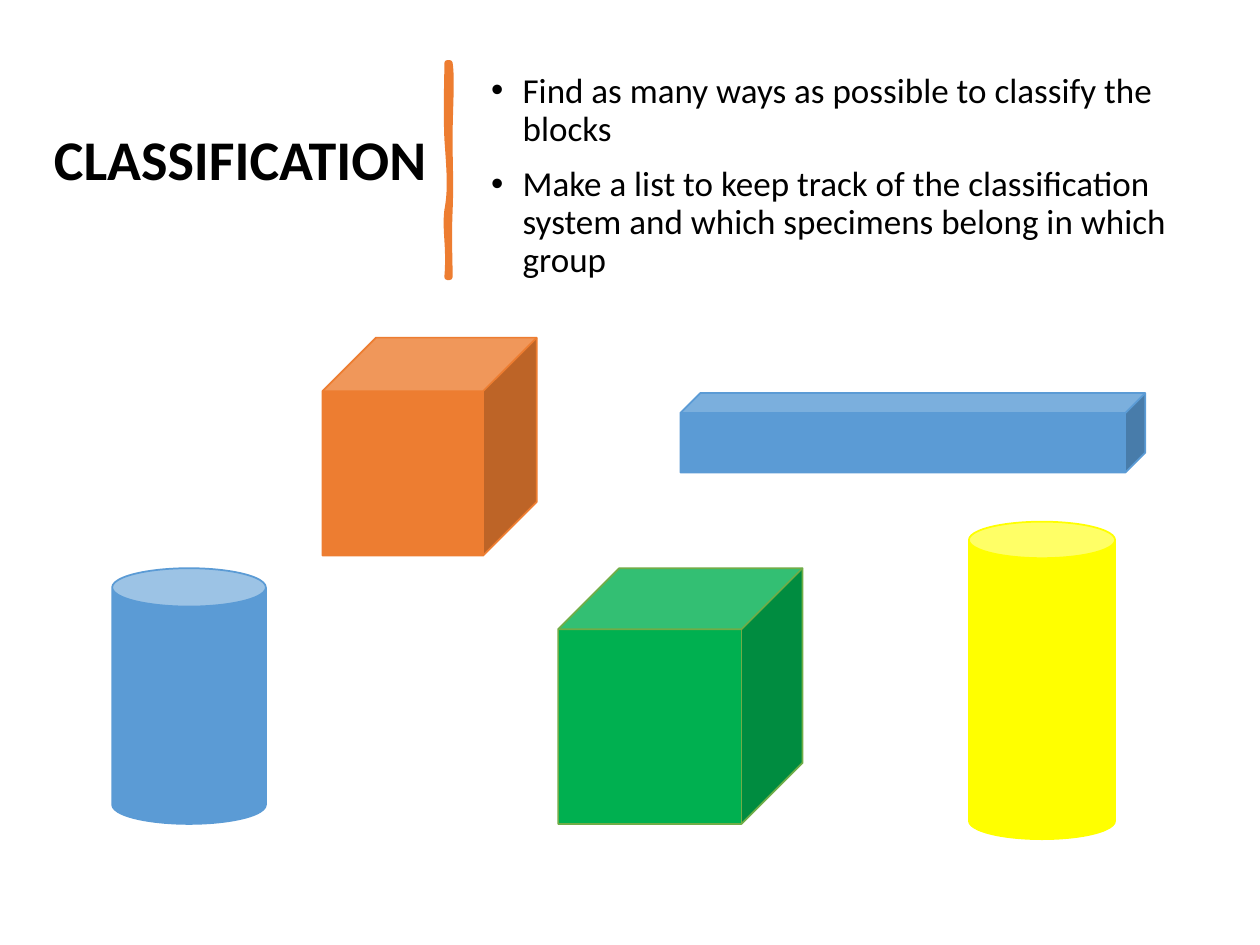
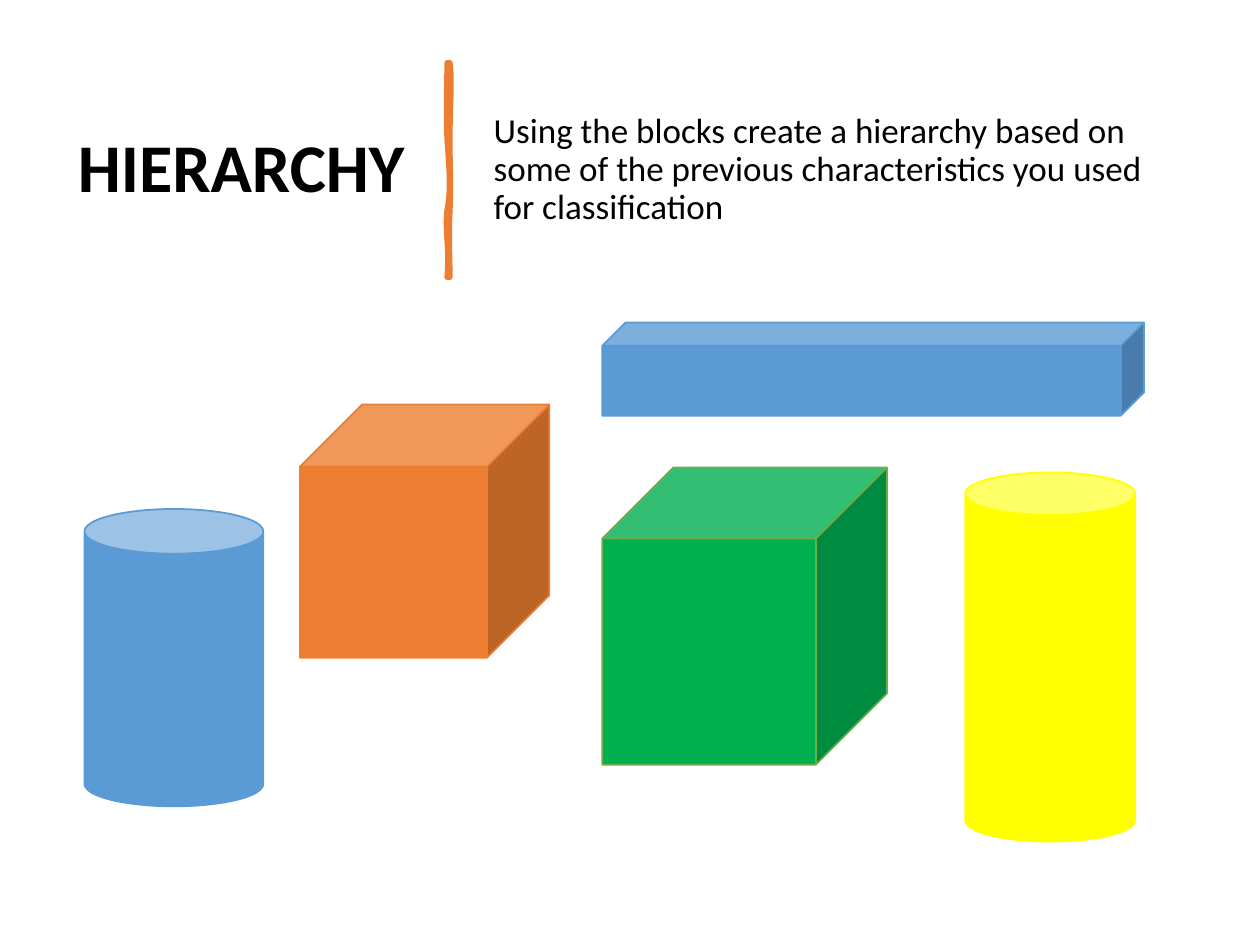
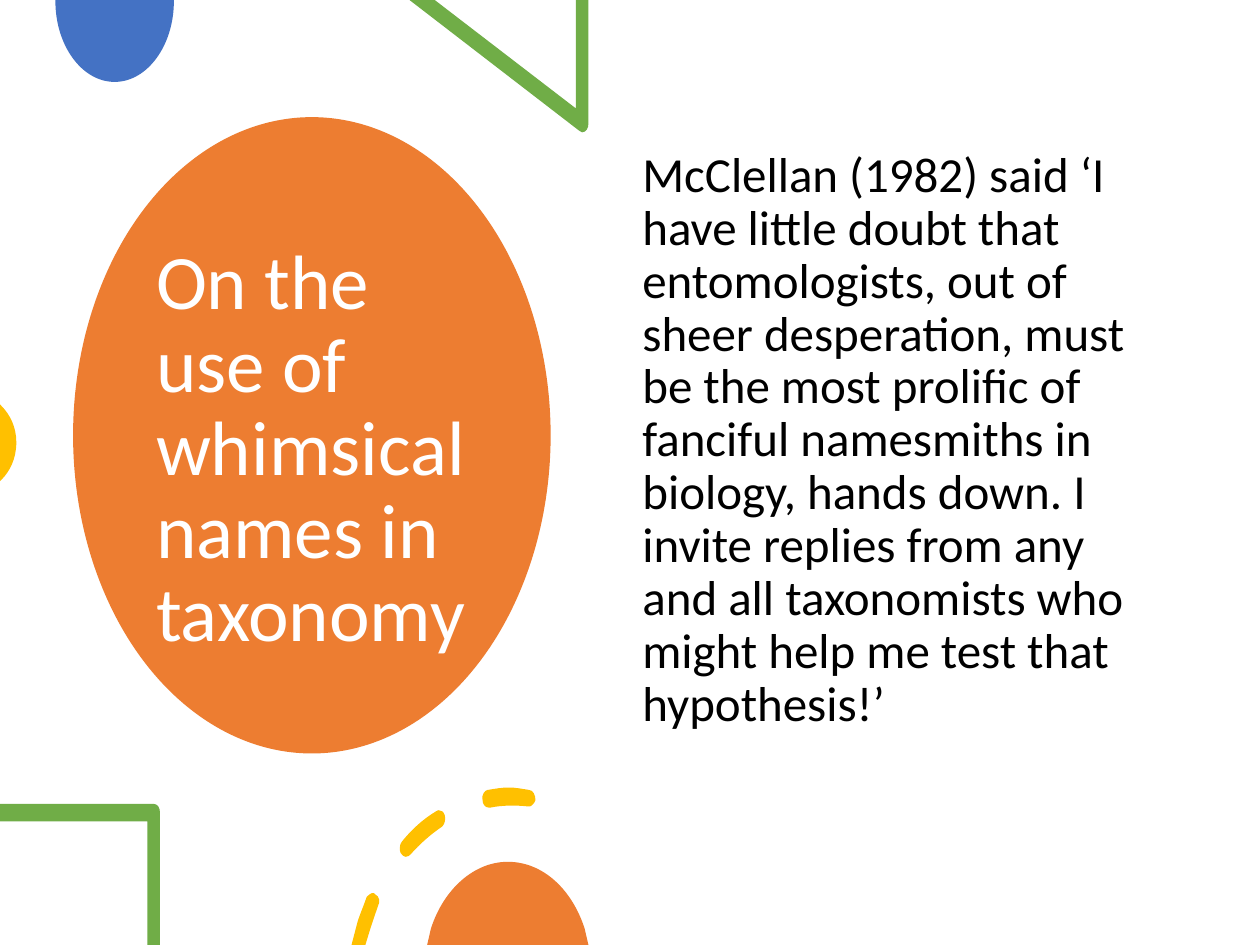
from typing import NamedTuple

from lxml.etree import SubElement
from pptx import Presentation
from pptx.dml.color import RGBColor
from pptx.enum.shapes import MSO_SHAPE as Kind
from pptx.enum.text import MSO_ANCHOR as Anchor
from pptx.oxml.ns import qn
from pptx.util import Inches, Pt

BLACK = RGBColor(0x00, 0x00, 0x00)
WHITE = RGBColor(0xFF, 0xFF, 0xFF)
ORANGE = RGBColor(0xED, 0x7D, 0x31)
BLUE = RGBColor(0x5B, 0x9B, 0xD5)
NAVY = RGBColor(0x44, 0x72, 0xC4)
GREEN = RGBColor(0x00, 0xB0, 0x50)
LEAF = RGBColor(0x70, 0xAD, 0x47)
GOLD = RGBColor(0xFF, 0xC0, 0x00)
YELLOW = RGBColor(0xFF, 0xFF, 0x00)
FONT = "Calibri"


class Box(NamedTuple):
    left: float
    top: float
    width: float
    height: float


class Text(NamedTuple):
    box: Box
    lines: list[str]
    size: int
    color: RGBColor = BLACK
    bold: bool = False
    bullet: bool = False
    anchor: Anchor = Anchor.MIDDLE


class Solid(NamedTuple):
    kind: Kind
    box: Box
    fill: RGBColor
    edge: RGBColor | None = None


class Outline(NamedTuple):
    track: str
    fill: RGBColor
    edge: float = 0


class Topic(NamedTuple):
    title: Text
    body: Text
    blocks: list[Solid]


BAR = Outline(
    "M 3.57 .5 C 3.59 .62 3.57 .88 3.57 1.1 C 3.57 1.32 3.58 1.44 3.57 1.68 "
    "C 3.56 1.93 3.57 1.99 3.57 2.2 L 3.55 2.2 C 3.57 1.96 3.53 1.83 3.55 1.67 "
    "C 3.58 1.51 3.57 1.38 3.55 1.1 C 3.54 .83 3.55 .67 3.55 .5", ORANGE, 3.25)

TOPICS = [
    Topic(
        Text(Box(0.33, 0.49, 3.56, 1.6), ["CLASSIFICATION"], 32, bold=True),
        Text(Box(3.8, 0.6, 5.66, 1.6), [
            "Find as many ways as possible to classify the blocks",
            "Make a list to keep track of the classification system and which "
            "specimens belong in which group"], 20, bullet=True),
        [
            Solid(Kind.CAN, Box(0.89, 4.51, 1.22, 2.03), BLUE, BLUE),
            Solid(Kind.CAN, Box(7.69, 4.14, 1.16, 2.52), YELLOW, YELLOW),
            Solid(Kind.CUBE, Box(4.43, 4.51, 1.94, 2.03), GREEN, LEAF),
            Solid(Kind.CUBE, Box(5.4, 3.12, 3.69, 0.63), BLUE, BLUE),
            Solid(Kind.CUBE, Box(2.56, 2.68, 1.7, 1.73), ORANGE, ORANGE),
        ]),
    Topic(
        Text(Box(0.52, 0.55, 2.81, 1.6), ["HIERARCHY"], 39, bold=True),
        Text(Box(3.82, 0.55, 5.66, 1.6), [
            "Using the blocks create a hierarchy based on some of the previous "
            "characteristics you used for classification"], 20),
        [
            Solid(Kind.CAN, Box(0.67, 4.04, 1.42, 2.36), BLUE, BLUE),
            Solid(Kind.CUBE, Box(4.78, 3.71, 2.26, 2.36), GREEN, LEAF),
            Solid(Kind.CUBE, Box(4.78, 2.56, 4.3, 0.74), BLUE, BLUE),
            Solid(Kind.CUBE, Box(2.38, 3.21, 1.98, 2.01), ORANGE, ORANGE),
            Solid(Kind.CAN, Box(7.66, 3.75, 1.35, 2.93), YELLOW, YELLOW),
        ]),
]

DISC = Solid(Kind.OVAL, Box(0.58, 0.93, 3.79, 5.05), ORANGE)
CLAIM = Text(Box(1.14, 1.35, 2.66, 4.45),
             ["On the use of whimsical names in taxonomy"], 44, WHITE)
QUOTE = Text(Box(5, 1.14, 4.31, 5.35), [
    "McClellan (1982) said ‘I have little doubt that entomologists, out of sheer "
    "desperation, must be the most prolific of fanciful namesmiths in biology, "
    "hands down. I invite replies from any and all taxonomists who might help me "
    "test that hypothesis!’"], 28, anchor=Anchor.TOP)

TOP_DECOR = [
    Outline("M 1.38 0 L .44 0 L .44 .01 C .44 .36 .65 .65 .91 .65 "
            "C 1.17 .65 1.38 .36 1.38 .01", NAVY),
    Outline("M 4.67 0 L 4.57 0 L 4.57 .86 L 3.45 0 L 3.25 0 L 4.6 1.04 "
            "C 4.61 1.05 4.61 1.05 4.62 1.05 C 4.65 1.05 4.67 1.02 4.67 .98", LEAF),
    Outline("M 0 3.21 L 0 3.82 L .01 3.81 C .08 3.74 .13 3.64 .13 3.51 "
            "C .13 3.39 .08 3.29 .01 3.22", GOLD),
]
LOW_DECOR = [
    Outline("M 1.22 6.38 L 0 6.38 L 0 6.52 L 1.17 6.52 L 1.17 7.5 L 1.27 7.5 "
            "L 1.27 6.45 C 1.27 6.41 1.25 6.38 1.22 6.38", LEAF),
    Outline("M 2.97 7.09 C 2.95 7.08 2.93 7.1 2.91 7.12 C 2.89 7.18 2.86 7.25 2.84 7.31 "
            "L 2.79 7.5 L 2.9 7.5 L 2.94 7.37 C 2.96 7.31 2.98 7.25 3 7.19 "
            "C 3.02 7.16 3.01 7.11 2.98 7.1 C 2.98 7.09 2.97 7.09 2.97 7.09 "
            "M 3.48 6.43 C 3.47 6.43 3.47 6.43 3.46 6.44 C 3.36 6.5 3.27 6.58 3.19 6.68 "
            "C 3.17 6.7 3.17 6.75 3.18 6.77 C 3.19 6.79 3.21 6.8 3.22 6.8 "
            "C 3.24 6.8 3.25 6.79 3.26 6.78 C 3.33 6.7 3.42 6.62 3.51 6.56 "
            "C 3.53 6.54 3.54 6.5 3.53 6.47 C 3.52 6.44 3.5 6.43 3.48 6.43 "
            "M 4.04 6.25 C 3.98 6.25 3.93 6.26 3.87 6.27 C 3.85 6.27 3.82 6.31 3.83 6.35 "
            "C 3.83 6.38 3.85 6.41 3.88 6.41 L 3.89 6.41 C 3.99 6.39 4.09 6.39 4.19 6.4 "
            "C 4.21 6.41 4.24 6.38 4.25 6.35 C 4.25 6.31 4.23 6.27 4.2 6.27 "
            "C 4.14 6.26 4.09 6.25 4.04 6.25", GOLD),
    Outline("M 4.03 6.84 C 3.76 6.84 3.52 7.06 3.42 7.37 L 3.39 7.5 L 4.67 7.5 "
            "L 4.64 7.37 C 4.54 7.06 4.31 6.84 4.03 6.84", ORANGE),
]


def place(box: Box) -> list[Inches]:
    return [Inches(side) for side in box]


def paint(shape, fill: RGBColor, edge: RGBColor | None, width: float = 1) -> None:
    shape.shadow.inherit = False
    shape.fill.solid()
    shape.fill.fore_color.rgb = fill
    if edge is None:
        shape.line.fill.background()
    else:
        shape.line.color.rgb = edge
        shape.line.width = Pt(width)


def draw_solid(slide, solid: Solid) -> None:
    shape = slide.shapes.add_shape(solid.kind, *place(solid.box))
    paint(shape, solid.fill, solid.edge)


def pairs(loop: str) -> list[tuple[Inches, Inches]]:
    nums = [Inches(float(word)) for word in loop.split() if word not in "LC"]
    return list(zip(nums[::2], nums[1::2]))


def bend(shape, track: str) -> None:
    nodes = shape.element.iter(qn("a:lnTo"))
    legs = iter(list(nodes))
    for move in filter(str.isalpha, track.replace("M", "")):
        leg = next(legs)
        if move == "C":
            leg.tag = qn("a:cubicBezTo")
            for extra in (next(legs), next(legs)):
                leg.append(extra[0])
                extra.getparent().remove(extra)


def draw_outline(slide, outline: Outline) -> None:
    pen = None
    for loop in outline.track.split("M")[1:]:
        first, *rest = pairs(loop)
        if pen is None:
            pen = slide.shapes.build_freeform(*first)
        else:
            pen.move_to(*first)
        pen.add_line_segments(rest, close=True)
    shape = pen.convert_to_shape()
    bend(shape, outline.track)
    paint(shape, outline.fill, outline.fill if outline.edge else None, outline.edge)
    if outline.edge:
        SubElement(shape.element.spPr.get_or_add_ln(), qn("a:round"))


def add_bullet(para) -> None:
    props = para._p.get_or_add_pPr()
    props.set("marL", str(Inches(0.25)))
    props.set("indent", str(Inches(-0.25)))
    SubElement(props, qn("a:buFont")).set("typeface", "Arial")
    SubElement(props, qn("a:buChar")).set("char", "•")


def write(slide, text: Text) -> None:
    frame = slide.shapes.add_textbox(*place(text.box)).text_frame
    frame.word_wrap = True
    frame.vertical_anchor = text.anchor
    for i, line in enumerate(text.lines):
        para = frame.add_paragraph() if i else frame.paragraphs[0]
        para.text = line
        para.line_spacing = 0.9
        if i:
            para.space_before = Pt(10)
        if text.bullet:
            add_bullet(para)
        font = para.font
        font.name = FONT
        font.size = Pt(text.size)
        font.bold = text.bold
        font.color.rgb = text.color


def main() -> None:
    deck = Presentation()
    deck.slide_width, deck.slide_height = Inches(10), Inches(7.5)
    blank = deck.slide_layouts[6]

    for topic in TOPICS:
        slide = deck.slides.add_slide(blank)
        write(slide, topic.title)
        draw_outline(slide, BAR)
        write(slide, topic.body)
        for block in topic.blocks:
            draw_solid(slide, block)

    slide = deck.slides.add_slide(blank)
    draw_solid(slide, DISC)
    write(slide, CLAIM)
    for outline in TOP_DECOR:
        draw_outline(slide, outline)
    write(slide, QUOTE)
    for outline in LOW_DECOR:
        draw_outline(slide, outline)

    deck.save("out.pptx")


if __name__ == "__main__":
    main()
